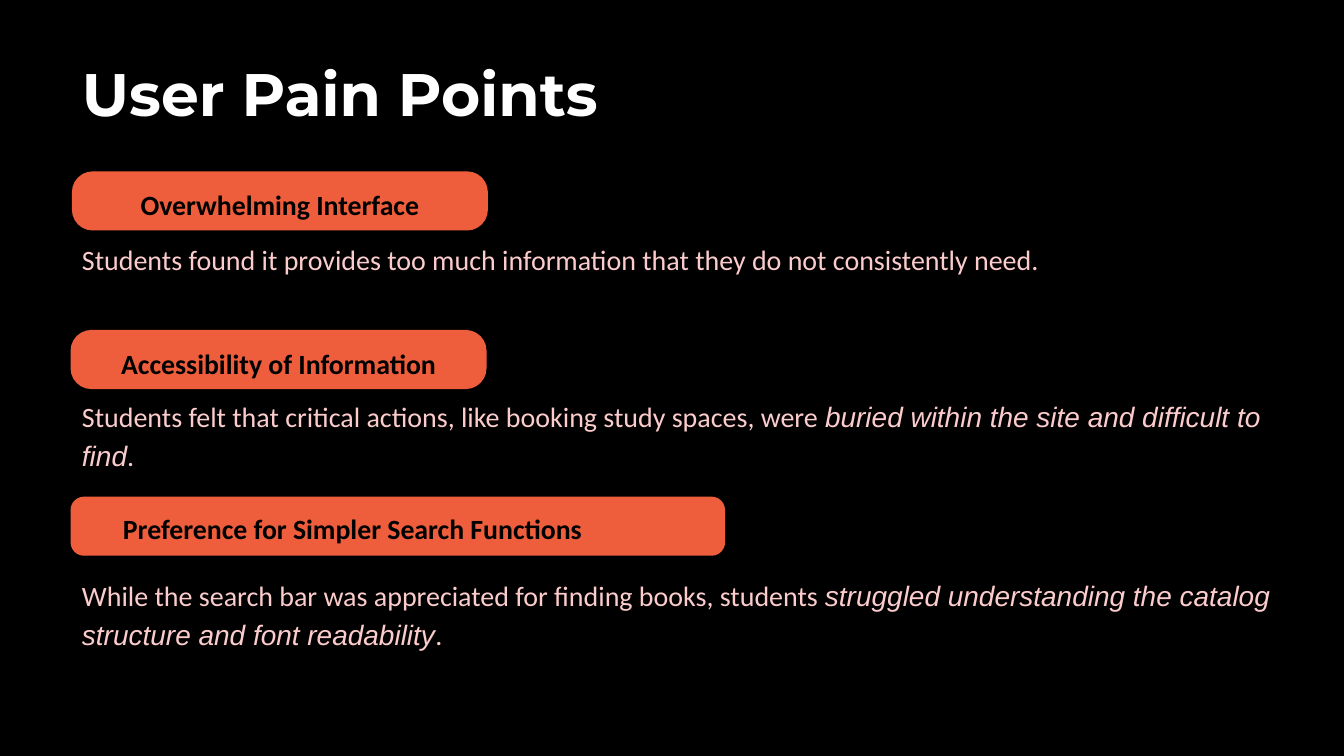
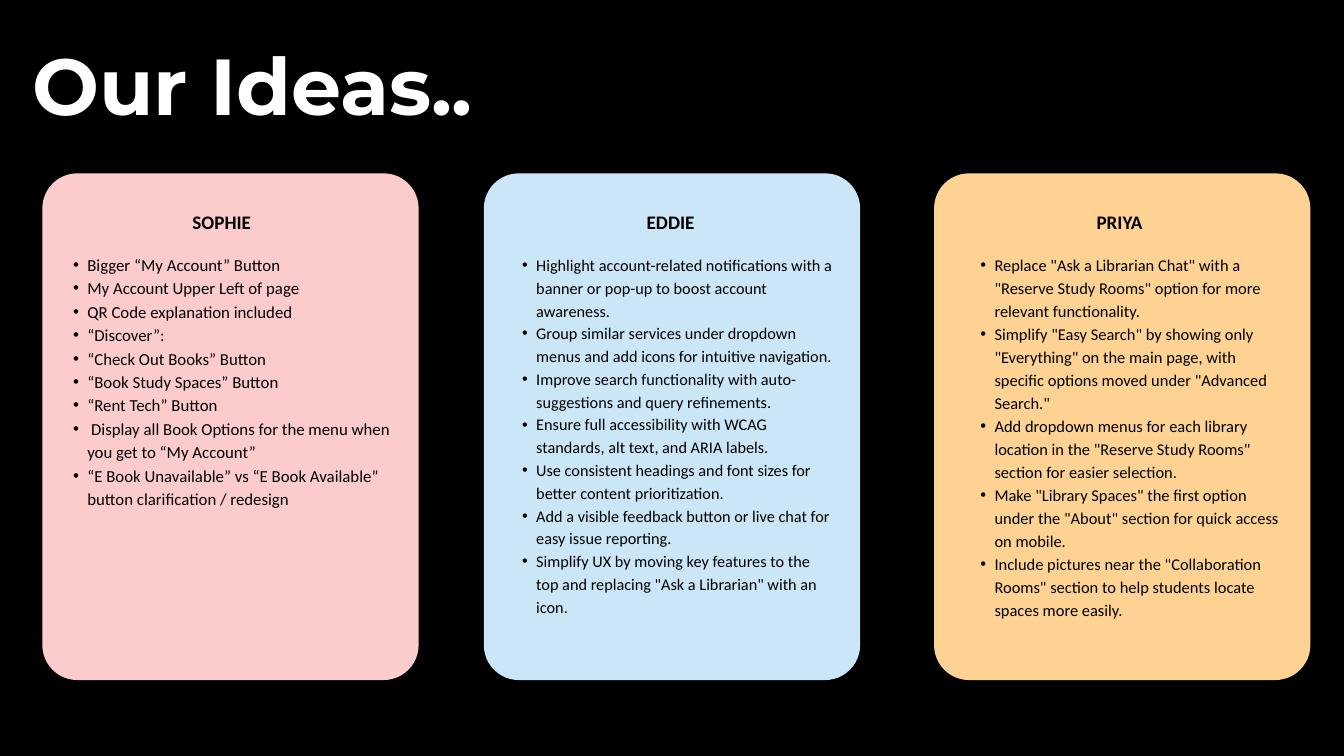
"""Build two slides: user pain points and the team's ideas."""
from lxml.etree import SubElement
from pptx import Presentation
from pptx.dml.color import RGBColor
from pptx.enum.shapes import MSO_SHAPE as Shape
from pptx.enum.text import PP_ALIGN as Align
from pptx.oxml.ns import qn
from pptx.util import Pt

PX = 9144
BLACK = RGBColor(0x00, 0x00, 0x00)
WHITE = RGBColor(0xFF, 0xFF, 0xFF)
CORAL = RGBColor(0xEF, 0x5E, 0x3C)
PINK = RGBColor(0xFC, 0xCC, 0xCC)
BLUE = RGBColor(0xCB, 0xE6, 0xF7)
SAND = RGBColor(0xFD, 0xD2, 0x92)
HEAD, BODY, SLANT = "Montserrat", "Calibri", "Arial"


def add_panel(slide, box, color, radius):
    panel = slide.shapes.add_shape(Shape.ROUNDED_RECTANGLE, *[n * PX for n in box])
    panel.adjustments[0] = round(radius / min(box[2:]), 3)
    panel.shadow.inherit = False
    panel.fill.solid()
    panel.fill.fore_color.rgb = color
    panel.line.fill.background()


def add_text(slide, box, paras, size, lead, color=BLACK, face=BODY,
             bold=False, align=Align.LEFT, indent=0):
    frame = slide.shapes.add_textbox(*[n * PX for n in box]).text_frame
    frame.word_wrap = True
    frame.margin_left = frame.margin_right = frame.margin_top = frame.margin_bottom = 0
    for i, parts in enumerate(paras):
        para = frame.add_paragraph() if i else frame.paragraphs[0]
        para.alignment = align
        para.line_spacing = Pt(lead)
        if indent:
            props = para._p.get_or_add_pPr()
            props.set("marL", str(indent * PX))
            props.set("indent", str(-21 * PX))
            SubElement(props, qn("a:buFont"), typeface=SLANT)
            SubElement(props, qn("a:buChar"), char="•")
        font = para.font
        font.name, font.size, font.bold = face, Pt(size), bold
        font.color.rgb = color
        for j, part in enumerate(parts):
            run = para.add_run()
            run.text = part
            if j == 1:
                run.font.name, run.font.italic = SLANT, True


deck = Presentation()
deck.slide_width, deck.slide_height = 2000 * PX, 1125 * PX
pains, ideas = [deck.slides.add_slide(deck.slide_layouts[6]) for _ in range(2)]
for slide in (pains, ideas):
    slide.background.fill.solid()
    slide.background.fill.fore_color.rgb = BLACK

add_text(pains, (122, 66, 1956, 119), [["User Pain Points"]], 64.2, 89.9, WHITE, HEAD, True)
add_text(ideas, (48, 60, 1715, 136), [["Our Ideas.."]], 85, 97.8, WHITE, HEAD, True)

points = [
    ("Overwhelming Interface", (107, 255, 619, 88), 31, (107, 271, 619, 60), Align.CENTER,
     (122, 353, 1828, 66),
     ["Students found it provides too much information that they do not consistently need."]),
    ("Accessibility of Information", (105, 491, 619, 88), 31, (105, 507, 619, 60), Align.CENTER,
     (122, 586, 1828, 124),
     ["Students felt that critical actions, like booking study spaces, were ",
      "buried within the site and difficult to find", "."]),
    ("Preference for Simpler Search Functions", (105, 739, 974, 88), 20, (183, 753, 750, 55),
     Align.LEFT, (122, 852, 1852, 124),
     ["While the search bar was appreciated for finding books, students ",
      "struggled understanding the catalog structure and font readability", "."]),
]
for label, pill, radius, spot, align, place, parts in points:
    add_panel(pains, pill, CORAL, radius)
    add_text(pains, spot, [[label]], 29.8, 41.8, bold=True, align=align)
    add_text(pains, place, [parts], 30, 42, PINK)

cards = [
    ("SOPHIE", PINK, 63, (88, 374, 510, 443), 18, 25.1, 42, [
        "Bigger “My Account” Button",
        "My Account Upper Left of page",
        "QR Code explanation included",
        "“Discover”:",
        "“Check Out Books” Button",
        "“Book Study Spaces” Button",
        "“Rent Tech” Button",
        " Display all Book Options for the menu when you get to “My Account”",
        "“E Book Unavailable” vs “E Book Available” button clarification / redesign",
    ]),
    ("EDDIE", BLUE, 720, (757, 375, 486, 638), 17.4, 24.4, 41, [
        "Highlight account-related notifications with a banner or pop-up to boost account awareness.",
        "Group similar services under dropdown menus and add icons for intuitive navigation.",
        "Improve search functionality with auto-suggestions and query refinements.",
        "Ensure full accessibility with WCAG standards, alt text, and ARIA labels.",
        "Use consistent headings and font sizes for better content prioritization.",
        "Add a visible feedback button or live chat for easy issue reporting.",
        'Simplify UX by moving key features to the top and replacing "Ask a Librarian" with an icon.',
    ]),
    ("PRIYA", SAND, 1390, (1438, 375, 470, 599), 17.6, 24.6, 42, [
        'Replace "Ask a Librarian Chat" with a "Reserve Study Rooms" option for more relevant '
        'functionality.',
        'Simplify "Easy Search" by showing only "Everything" on the main page, with specific '
        'options moved under "Advanced Search."',
        'Add dropdown menus for each library location in the "Reserve Study Rooms" section for '
        'easier selection.',
        'Make "Library Spaces" the first option under the "About" section for quick access on '
        'mobile.',
        'Include pictures near the "Collaboration Rooms" section to help students locate spaces '
        'more easily.',
    ]),
]
for i, (name, color, left, place, size, lead, indent, items) in enumerate(cards):
    add_panel(ideas, (left, 258, 560, 754), color, 52)
    add_text(ideas, (48 + 668 * i, 307, 564, 44), [[name]], 20.5, 28.7,
             bold=True, align=Align.CENTER)
    add_text(ideas, place, [[item] for item in items], size, lead, indent=indent)

deck.save("out.pptx")
